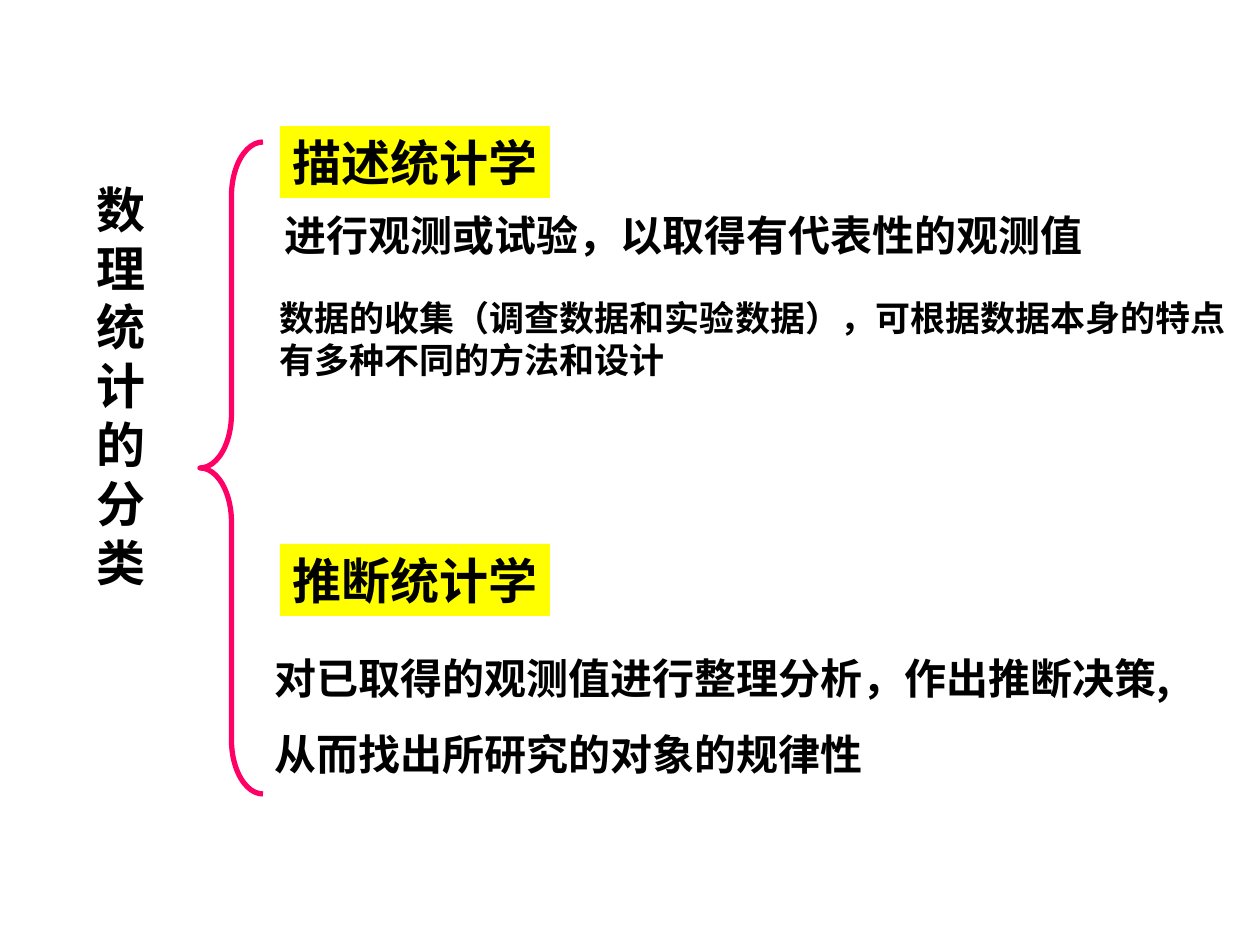
import pptx
import pptx.util
from lxml import etree
from pptx.dml.color import RGBColor
from pptx.enum.shapes import MSO_SHAPE
from pptx.enum.text import PP_ALIGN
from pptx.oxml.ns import qn

PX = 914400 // 126
FONT = "Noto Sans CJK SC"
BLACK = RGBColor(0x00, 0x00, 0x00)
YELLOW = RGBColor(0xFF, 0xFF, 0x00)
PINK = RGBColor(0xFF, 0x00, 0x66)


def to_emu(box):
    return [length * PX for length in box]


def write(frame, text, size, align=PP_ALIGN.LEFT, space_before=0):
    """Fill a text frame with bold black text, one paragraph per line."""
    frame.text = text
    for index, paragraph in enumerate(frame.paragraphs):
        paragraph.alignment = align
        if index and space_before:
            paragraph.space_before = pptx.util.Pt(space_before)
        for run in paragraph.runs:
            run.font.size = pptx.util.Pt(size)
            run.font.bold = True
            run.font.name = FONT
            run.font.color.rgb = BLACK
            east_asian = etree.SubElement(run.font._element, qn("a:ea"))
            east_asian.set("typeface", FONT)


def add_text(slide, box, text, size, wrap=True, **style):
    frame = slide.shapes.add_textbox(*to_emu(box)).text_frame
    frame.word_wrap = wrap
    write(frame, text, size, **style)


def add_branch_heading(slide, top, text):
    heading = slide.shapes.add_shape(
        MSO_SHAPE.RECTANGLE, *to_emu((280, top, 270, 72)))
    heading.shadow.inherit = False
    heading.fill.solid()
    heading.fill.fore_color.rgb = YELLOW
    heading.line.fill.background()
    heading.text_frame.word_wrap = False
    write(heading.text_frame, text, 28, align=PP_ALIGN.CENTER)


def add_brace(slide, box):
    brace = slide.shapes.add_shape(MSO_SHAPE.LEFT_BRACE, *to_emu(box))
    brace.shadow.inherit = False
    brace.adjustments[0] = 0.86
    brace.fill.background()
    brace.line.color.rgb = PINK
    brace.line.width = pptx.util.Pt(3)


def main():
    deck = pptx.Presentation()
    deck.slide_width, deck.slide_height = to_emu((1260, 945))
    slide = deck.slides.add_slide(deck.slide_layouts[6])

    add_text(slide, (84, 173, 74, 425), "\n".join("数理统计的分类"), 28,
             wrap=False, align=PP_ALIGN.CENTER)
    add_brace(slide, (200, 142, 63, 652))

    add_branch_heading(slide, 126, "描述统计学")
    add_text(slide, (272, 203, 979, 63),
             "进行观测或试验，以取得有代表性的观测值", 24)
    add_text(slide, (267, 290, 988, 139),
             "数据的收集（调查数据和实验数据），可根据数据本身的特点有多种不同的方法和设计", 20)

    add_branch_heading(slide, 544, "推断统计学")
    add_text(slide, (262, 646, 998, 140),
             "对已取得的观测值进行整理分析，作出推断决策,\n从而找出所研究的对象的规律性",
             24, space_before=15)

    deck.save("out.pptx")


if __name__ == "__main__":
    main()
